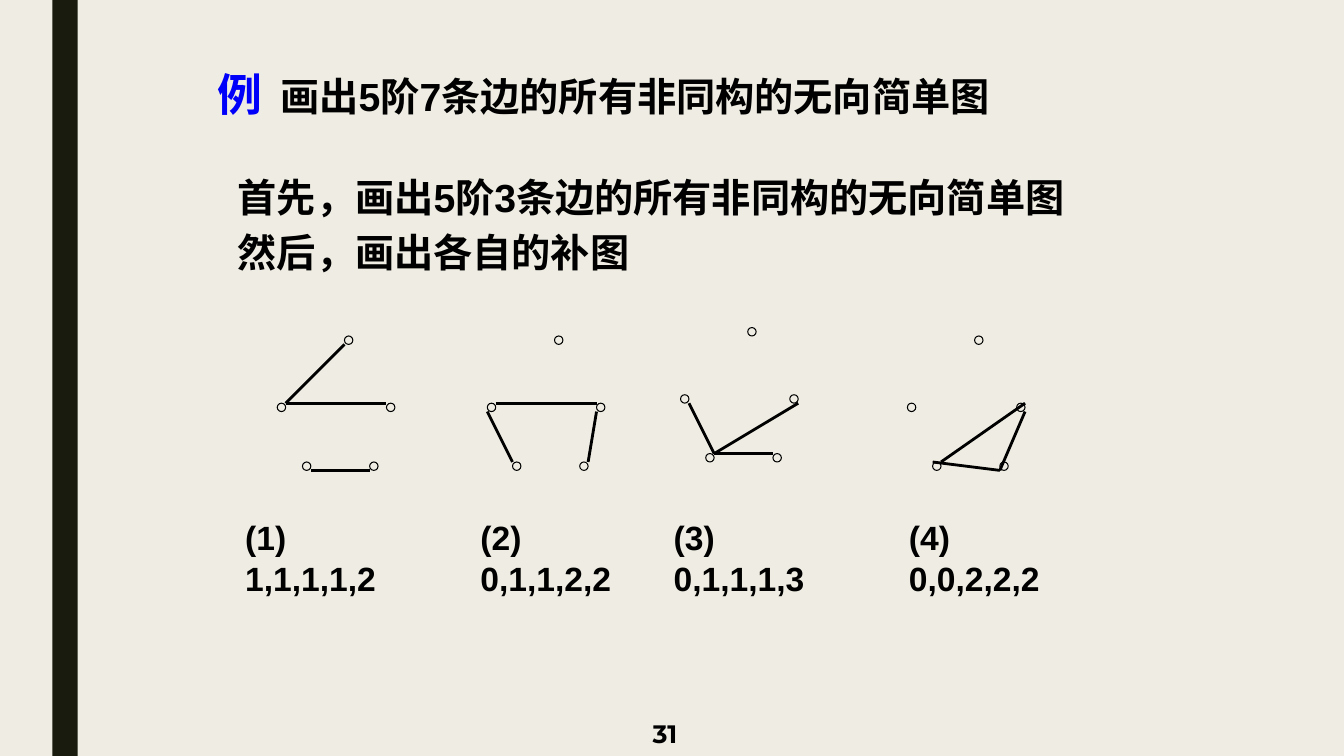
from pptx import Presentation
from pptx.dml.color import RGBColor
from pptx.enum.shapes import MSO_CONNECTOR, MSO_SHAPE
from pptx.enum.text import MSO_ANCHOR, MSO_AUTO_SIZE, PP_ALIGN
from pptx.oxml.ns import qn
from pptx.util import Inches, Pt
from lxml.etree import SubElement

BLACK = RGBColor(0x00, 0x00, 0x00)
BLUE = RGBColor(0x00, 0x00, 0xFA)
CREAM = RGBColor(0xEF, 0xED, 0xE3)
DARK = RGBColor(0x19, 0x1B, 0x0E)

TITLE = [("例", 32, BLUE), ("  画出5阶7条边的所有非同构的无向简单图", 28, BLACK)]
STEPS = ["首先，画出5阶3条边的所有非同构的无向简单图", "然后，画出各自的补图"]
PAGE_NUMBER = "31"

# Graphs are laid out on a grid of twelfths of an inch
VERTICES = [(8, 0), (0, 8), (13, 8), (3, 15), (11, 15)]
LABEL_TOP, LABEL_WIDTH, LABEL_HEIGHT = 61, 20, 11
# origin, label left, label, edges relative to the origin
GRAPHS = [
    ((33, 40), 28, "(1) 1,1,1,1,2",
     [((8, 1), (1, 8)), ((1, 8), (13, 8)), ((4, 16), (11, 16))]),
    ((58, 40), 56, "(2) 0,1,1,2,2",
     [((1, 8), (13, 8)), ((13, 9), (12, 15)), ((0, 9), (3, 15))]),
    ((81, 39), 79, "(3) 0,1,1,1,3",
     [((1, 9), (4, 15)), ((4, 15), (11, 15)), ((4, 15), (14, 9))]),
    ((108, 40), 107, "(4) 0,0,2,2,2",
     [((4, 15), (14, 8)), ((14, 9), (11, 16)), ((11, 16), (3, 15))]),
]


def grid(*units):
    return [Inches(unit / 12) for unit in units]


def add_run(para, text, size, color=BLACK, font="Arial"):
    span = para.add_run()
    span.text = text
    span.font.name = font
    span.font.size = Pt(size)
    span.font.bold = True
    span.font.color.rgb = color


def prepare(box, anchor=MSO_ANCHOR.TOP):
    """Set wrapping and anchor, and return the text frame."""
    frame = box.text_frame
    frame.word_wrap = True
    frame.auto_size = MSO_AUTO_SIZE.NONE
    frame.vertical_anchor = anchor
    return frame


def add_vertex(page, x, y):
    vertex = page.shapes.add_shape(MSO_SHAPE.OVAL, *grid(x, y, 1, 1))
    vertex.shadow.inherit = False
    vertex.fill.background()
    vertex.line.color.rgb = BLACK
    vertex.line.width = Pt(0.75)


def add_edge(page, x1, y1, x2, y2):
    edge = page.shapes.add_connector(MSO_CONNECTOR.STRAIGHT, *grid(x1, y1, x2, y2))
    edge.line.color.rgb = BLACK
    edge.line.width = Pt(2)
    SubElement(edge._element.spPr, qn("a:effectLst"))


def main():
    deck = Presentation()
    deck.slide_width, deck.slide_height = Inches(13.33), Inches(7.5)
    page = deck.slides.add_slide(deck.slide_layouts[5])
    page.background.fill.solid()
    page.background.fill.fore_color.rgb = CREAM

    band = page.shapes.add_shape(
        MSO_SHAPE.RECTANGLE, Inches(0.52), 0, Inches(0.25), Inches(7.5))
    band.shadow.inherit = False
    band.fill.solid()
    band.fill.fore_color.rgb = DARK
    band.line.fill.background()

    title = page.shapes.title
    title.left, title.top = Inches(2.06), Inches(0.61)
    title.width, title.height = Inches(8.92), Inches(0.63)
    para = prepare(title).paragraphs[0]
    para.alignment = PP_ALIGN.LEFT
    for text, size, color in TITLE:
        add_run(para, text, size, color)

    number = page.shapes.add_textbox(
        Inches(3.16), Inches(7.06), Inches(6.87), Inches(0.44))
    para = prepare(number, MSO_ANCHOR.MIDDLE).paragraphs[0]
    para.alignment = PP_ALIGN.CENTER
    add_run(para, PAGE_NUMBER, 18, font="Montserrat")

    for (left, top), label_left, label, edges in GRAPHS:
        for x, y in VERTICES:
            add_vertex(page, left + x, top + y)
        for (x1, y1), (x2, y2) in edges:
            add_edge(page, left + x1, top + y1, left + x2, top + y2)
        caption = page.shapes.add_textbox(
            *grid(label_left, LABEL_TOP, LABEL_WIDTH, LABEL_HEIGHT))
        add_run(prepare(caption).paragraphs[0], label, 24)

    steps = page.shapes.add_textbox(
        Inches(2.26), Inches(1.67), Inches(8.74), Inches(1.13))
    frame = prepare(steps)
    for index, step in enumerate(STEPS):
        para = frame.add_paragraph() if index else frame.paragraphs[0]
        if index:
            para.space_before = Pt(5.6)
        add_run(para, step, 28)

    deck.save("out.pptx")


if __name__ == "__main__":
    main()
